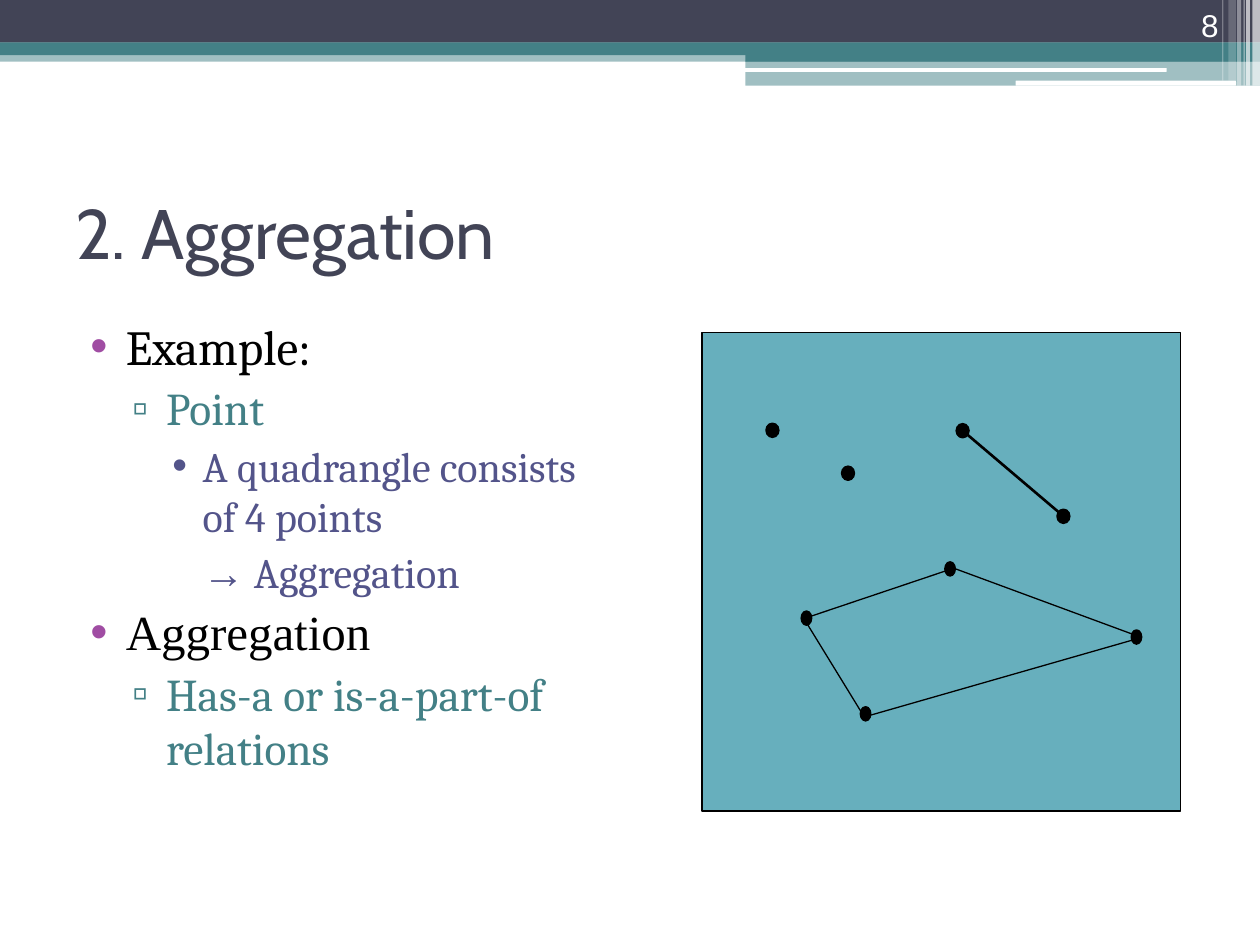
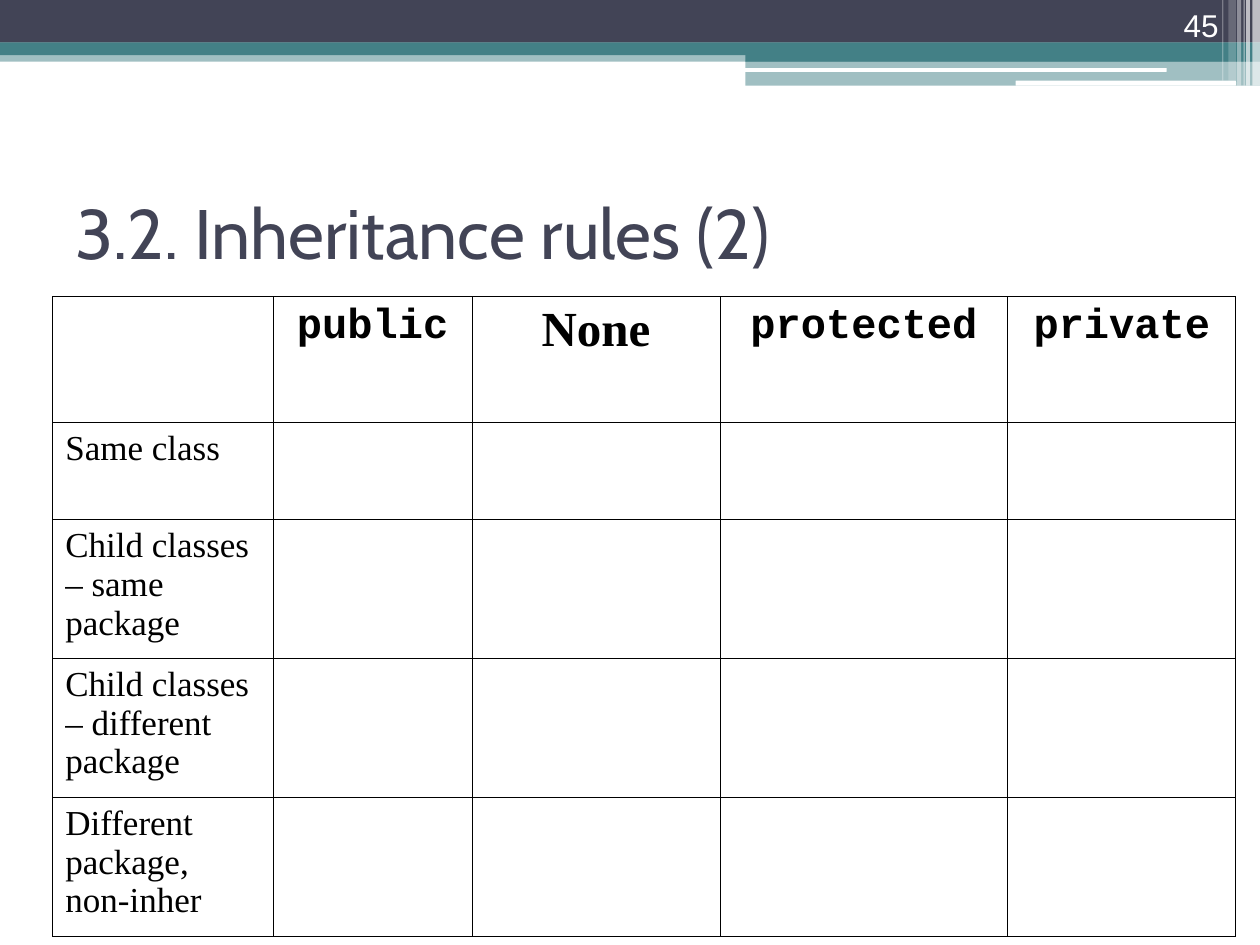
"""Builds two lecture slides on aggregation and inheritance rules."""
from lxml.etree import SubElement
from pptx import Presentation
from pptx.dml.color import RGBColor
from pptx.enum.shapes import MSO_CONNECTOR, MSO_SHAPE
from pptx.enum.text import MSO_ANCHOR, PP_ALIGN
from pptx.oxml.ns import qn
from pptx.util import Pt

COLORS = {
    "navy": "424456", "teal": "438086", "white": "FFFFFF", "black": "000000",
    "purple": "A04DA3", "indigo": "53548A", "panel": "67AFBD",
}
SERIF, ROMAN, MONO, SANS = "Cambria", "Times New Roman", "Courier New", "Arial"

BANDS = [
    (0, 28.8, 720, 6.5, "teal", 50),
    (0, 0, 720, 24.4, "navy", 100),
    (0, 24.3, 720, 7.2, "teal", 100),
    (426, 28.1, 294, 7.2, "teal", 100),
    (426, 34.7, 294, 14.2, "teal", 50),
]
BAND_SLITS = [(425.5, 38.9, 241.2, 2.2), (580.3, 46.1, 126, 2.9)]
EDGE_STRIPES = [
    (715.7, 4.3, 49, 65), (712.1, 2.2, 49, 65), (710.6, 0.7, 49, 60),
    (707, 2.2, 49, 40), (702, 4.3, 46.1, 20), (698.4, 0.7, 46.1, 30),
]

LEVELS = [
    dict(margin=28.8, hang=20.2, size=28, color="black", bullet="•", bullet_color="purple"),
    dict(margin=51.8, hang=19.4, size=26, color="teal", bullet="▫", bullet_color="teal"),
    dict(margin=72.7, hang=17.3, size=24, color="indigo", bullet="•", bullet_color="indigo"),
]
CONCLUSION = dict(LEVELS[2], hang=0, bullet=None)
OUTLINE = [
    ([("Example:", SERIF)], LEVELS[0]),
    ([("Point", SERIF)], LEVELS[1]),
    ([("A quadrangle consists of 4 points", SERIF)], LEVELS[2]),
    ([("→", SANS), (" Aggregation", SERIF)], CONCLUSION),
    ([("Aggregation", ROMAN)], LEVELS[0]),
    ([("Has-a or is-a-part-of relations", SERIF)], LEVELS[1]),
]

PANEL = (401, 190, 273.6, 273.6)
FREE_POINTS = [(484.6, 270.4), (441.4, 245.9)]
SEGMENT = [(550.1, 246.1), (607.7, 295)]
QUAD_CORNERS = [(459.4, 353.5), (545, 324.7), (652.3, 364.3), (493.9, 409.7)]
QUAD_POINTS = [(460.8, 353.2), (542.9, 325.1), (649.4, 364), (494.6, 407.9)]

COL_WIDTHS = [126, 113.6, 141.8, 164.4, 130.3]
ROW_HEIGHTS = [72, 55.4, 79.4, 79.4, 79.4]
MODIFIERS = [("public", MONO, 24), ("None", ROMAN, 28), ("protected", MONO, 24), ("private", MONO, 24)]
ACCESSORS = [
    "Same class",
    "Child classes – same package",
    "Child classes – different package",
    "Different package, non-inher",
]


def rgb(name):
    return RGBColor.from_string(COLORS[name])


def write(p, text, font=SERIF, size=18, color="black", bold=False, align=None,
          margin=0, hang=0, bullet=None, bullet_color="black", before=0):
    pPr = p._p.get_or_add_pPr()
    pPr.set("marL", str(Pt(margin)))
    pPr.set("indent", str(-Pt(hang)))
    if bullet:
        clr = SubElement(pPr, qn("a:buClr"))
        SubElement(clr, qn("a:srgbClr"), val=COLORS[bullet_color])
        SubElement(pPr, qn("a:buFont"), typeface=SANS)
        SubElement(pPr, qn("a:buChar"), char=bullet)
    p.space_before = Pt(before)
    p.alignment = align
    for part, face in ([(text, font)] if isinstance(text, str) else text):
        r = p.add_run()
        r.text = part
        r.font.name, r.font.size, r.font.bold = face, Pt(size), bold
        r.font.color.rgb = rgb(color)


def add_box(s, x, y, w, h, anchor=MSO_ANCHOR.TOP):
    tf = s.shapes.add_textbox(Pt(x), Pt(y), Pt(w), Pt(h)).text_frame
    tf.word_wrap = True
    tf.vertical_anchor = anchor
    return tf


def add_shape(s, kind, x, y, w, h, color, opacity=100, line=None):
    sp = s.shapes.add_shape(kind, Pt(x), Pt(y), Pt(w), Pt(h))
    sp.shadow.inherit = False
    sp.fill.solid()
    sp.fill.fore_color.rgb = rgb(color)
    if opacity < 100:
        clr = sp.fill._xPr.find(qn("a:solidFill"))[0]
        SubElement(clr, qn("a:alpha"), val=str(opacity * 1000))
    if line:
        sp.line.color.rgb = rgb("black")
        sp.line.width = Pt(line)
    else:
        sp.line.fill.background()
    return sp


def add_dots(s, centers, w, h=7.9):
    for x, y in centers:
        add_shape(s, MSO_SHAPE.OVAL, x - w / 2, y - h / 2, w, h, "black", line=1)


def add_line(s, start, end, width):
    c = s.shapes.add_connector(MSO_CONNECTOR.STRAIGHT, *map(Pt, start + end))
    c.line.color.rgb = rgb("black")
    c.line.width = Pt(width)
    SubElement(c._element.spPr, qn("a:effectLst"))


def add_slide(prs, title, number):
    s = prs.slides.add_slide(prs.slide_layouts[6])
    for band in BANDS:
        add_shape(s, MSO_SHAPE.RECTANGLE, *band)
    for slit in BAND_SLITS:
        add_shape(s, MSO_SHAPE.ROUNDED_RECTANGLE, *slit, "white")
    for x, w, h, opacity in EDGE_STRIPES:
        add_shape(s, MSO_SHAPE.RECTANGLE, x, 0, w, h, "white", opacity)
    tf = add_box(s, 643.7, 0, 59.8, 28.8, MSO_ANCHOR.BOTTOM)
    write(tf.paragraphs[0], str(number), font=SANS, color="white", align=PP_ALIGN.RIGHT)
    tf = add_box(s, 36, 90, 648, 84.2, MSO_ANCHOR.MIDDLE)
    write(tf.paragraphs[0], title, font="Cabin", size=40, color="navy")
    return s


def add_outline(s):
    tf = add_box(s, 36, 177.1, 318.2, 340.6)
    for i, (text, level) in enumerate(OUTLINE):
        p = tf.add_paragraph() if i else tf.paragraphs[0]
        write(p, text, before=3 if i else 0, **level)


def add_diagram(s):
    add_shape(s, MSO_SHAPE.RECTANGLE, *PANEL, "panel", line=1)
    add_dots(s, FREE_POINTS + SEGMENT, 7.2)
    add_line(s, *SEGMENT, 1.5)
    for start, end in zip(QUAD_CORNERS, QUAD_CORNERS[1:] + QUAD_CORNERS[:1]):
        add_line(s, start, end, 0.75)
    add_dots(s, QUAD_POINTS, 5.8)


def style_cell(cell):
    tcPr = cell._tc.get_or_add_tcPr()
    for side in ("lnL", "lnR", "lnT", "lnB"):
        ln = SubElement(tcPr, qn(f"a:{side}"), w=str(Pt(0.45)))
        fill = SubElement(ln, qn("a:solidFill"))
        SubElement(fill, qn("a:srgbClr"), val=COLORS["black"])
    cell.fill.background()


def add_access_table(s):
    table = s.shapes.add_table(
        len(ROW_HEIGHTS), len(COL_WIDTHS), Pt(30.1), Pt(169.6),
        Pt(sum(COL_WIDTHS)), Pt(sum(ROW_HEIGHTS))).table
    table.first_row = table.horz_banding = False
    for col, width in zip(table.columns, COL_WIDTHS):
        col.width = Pt(width)
    for row, height in zip(table.rows, ROW_HEIGHTS):
        row.height = Pt(height)
    for cell in table.iter_cells():
        style_cell(cell)
    for j, (text, font, size) in enumerate(MODIFIERS, 1):
        p = table.cell(0, j).text_frame.paragraphs[0]
        write(p, text, font=font, size=size, bold=True, align=PP_ALIGN.CENTER)
    for i, text in enumerate(ACCESSORS, 1):
        write(table.cell(i, 0).text_frame.paragraphs[0], text, font=ROMAN, size=20)


def main():
    prs = Presentation()
    prs.slide_width, prs.slide_height = Pt(720), Pt(540)
    s = add_slide(prs, "2. Aggregation", 8)
    add_outline(s)
    add_diagram(s)
    s = add_slide(prs, "3.2. Inheritance rules (2)", 45)
    add_access_table(s)
    prs.save("out.pptx")


if __name__ == "__main__":
    main()
